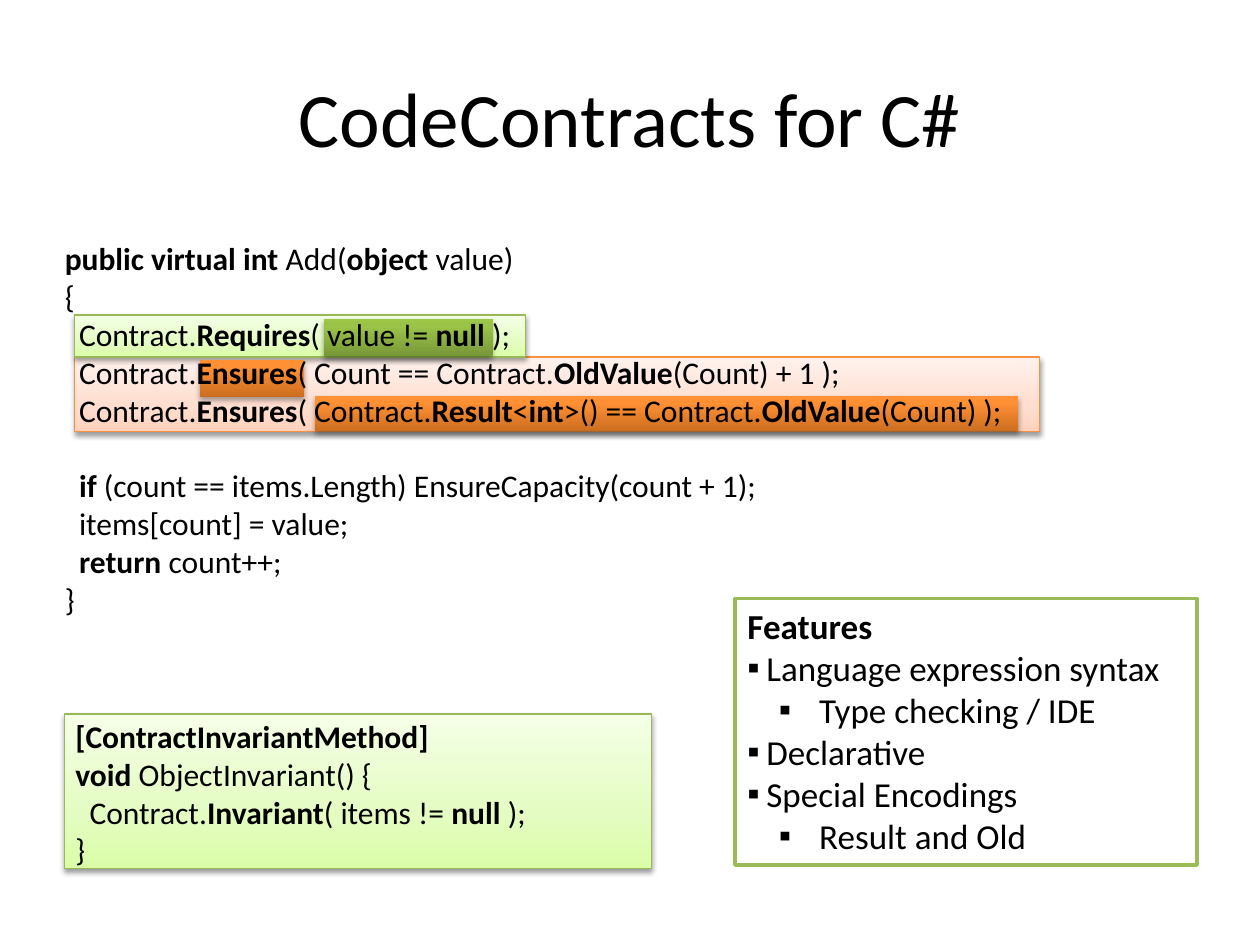
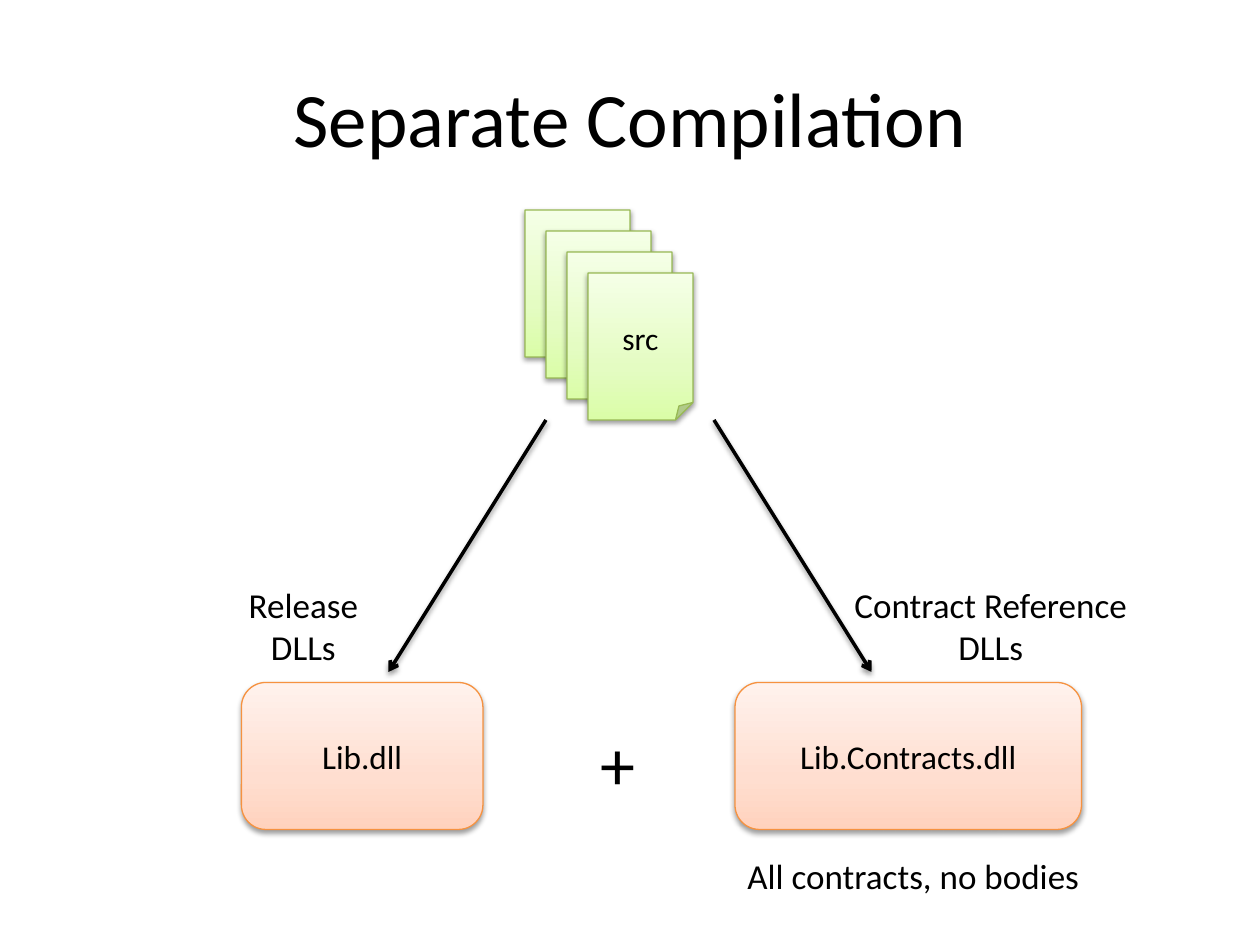
from lxml import etree
from pptx import Presentation
from pptx.dml.color import RGBColor
from pptx.enum.shapes import MSO_CONNECTOR, MSO_SHAPE
from pptx.enum.text import MSO_ANCHOR, PP_ALIGN
from pptx.oxml import parse_xml
from pptx.oxml.ns import nsdecls, qn
from pptx.util import Inches, Pt

RECTANGLE, ROUNDED = MSO_SHAPE.RECTANGLE, MSO_SHAPE.ROUNDED_RECTANGLE
SHEET = MSO_SHAPE.FOLDED_CORNER
STRAIGHT = MSO_CONNECTOR.STRAIGHT
LEFT, CENTER = PP_ALIGN.LEFT, PP_ALIGN.CENTER
TOP, MIDDLE = MSO_ANCHOR.TOP, MSO_ANCHOR.MIDDLE

# Shared look
FONT = "Calibri"
TITLE_ONLY = 5
CELL = 1 / 6  # inches; the slide is 60 columns by 45 rows
COLORS = {"text": "000000", "paper": "FFFFFF", "frame": "9BBB59",
          "green_edge": "98B955", "orange_edge": "F69240"}
SOFT = {"opacity": 38, "distance": 1.6}
STRONG = {"opacity": 35, "distance": 1.8}
STYLES = {
    "green": {"stops": {0: "DAFDA7", 35: "E4FCC2", 100: "F5FFE7"},
              "edge": "green_edge", "shadow": SOFT},
    "orange": {"stops": {0: "FFD2BD", 35: "FFDED0", 100: "FFF2ED"},
               "edge": "orange_edge", "shadow": SOFT},
    "dark_green": {"stops": {0: "779737", 80: "9BC348", 100: "9DC746"},
                   "edge": None, "shadow": STRONG},
    "dark_orange": {"stops": {0: "CC6E20", 80: "FF9034", 100: "FF9136"},
                    "edge": None, "shadow": STRONG},
}

# Code, with bold between double asterisks
ADD_METHOD = """**public virtual int** Add(**object** value)
{
  Contract.**Requires**( value != **null **);
  Contract.**Ensures**( Count == Contract.**OldValue**(Count) + 1 );
  Contract.**Ensures**( Contract.**Result**<**int**>() == Contract.**OldValue**(Count) );

  **if **(count == items.Length) EnsureCapacity(count + 1);
  items[count] = value;
  **return **count++;
}"""
INVARIANT_METHOD = """**[ContractInvariantMethod]**
**void **ObjectInvariant() {
  Contract.**Invariant**( items != **null **);
}"""
FEATURES = [(1, "Language expression syntax"), (2, "Type checking / IDE"),
            (1, "Declarative"), (1, "Special Encodings"), (2, "Result and Old")]
BULLET_INDENTS = {1: (0.15, -0.15), 2: (0.57, -0.32)}  # text edge, bullet offset


def color(name):
    return RGBColor.from_string(COLORS[name])


def grid(*cells):
    return [Inches(cell * CELL) for cell in cells]


def write(para, text, size=18, align=LEFT):
    """Write text into a paragraph, with line breaks and bold parts."""
    para.alignment = align
    for number, line in enumerate(text.split("\n")):
        if number:
            para.add_line_break()
        for part, words in enumerate(line.split("**")):
            if words:
                span = para.add_run()
                span.text = words
                span.font.name, span.font.size = FONT, Pt(size)
                span.font.bold = part % 2 == 1
                span.font.color.rgb = color("text")


def add_shadow(item, opacity, distance):
    effects = parse_xml(
        f'<a:effectLst {nsdecls("a")}><a:outerShdw blurRad="{Pt(3.1)}" '
        f'dist="{Pt(distance)}" dir="5400000" rotWithShape="0"><a:srgbClr '
        f'val="{COLORS["text"]}"><a:alpha val="{opacity * 1000}"/></a:srgbClr>'
        '</a:outerShdw></a:effectLst>')
    item.element.spPr.append(effects)


def add_panel(page, kind, cells, style, text="", size=18):
    """Add a shape with gradient and shadow."""
    look = STYLES[style]
    box = page.shapes.add_shape(kind, *grid(*cells))
    box.fill.gradient()
    box.fill.gradient_angle = 90
    stops = box.element.spPr.find(".//" + qn("a:gsLst"))
    for stop in list(stops):
        stops.remove(stop)
    for position, tint in look["stops"].items():
        stop = etree.SubElement(stops, qn("a:gs"), pos=str(position * 1000))
        etree.SubElement(stop, qn("a:srgbClr"), val=tint)
    if look["edge"]:
        box.line.color.rgb = color(look["edge"])
        box.line.width = Pt(0.75)
    else:
        box.line.fill.background()
    add_shadow(box, **look["shadow"])
    if text:
        box.text_frame.vertical_anchor = MIDDLE
        write(box.text_frame.paragraphs[0], text, size, CENTER)


def add_text(page, cells, text, wrap=False, **formats):
    box = page.shapes.add_textbox(*grid(*cells))
    box.text_frame.word_wrap = wrap
    write(box.text_frame.paragraphs[0], text, **formats)


def add_arrow(page, start, end):
    arrow = page.shapes.add_connector(STRAIGHT, *grid(*start, *end))
    arrow.line.color.rgb = color("text")
    arrow.line.width = Pt(2)
    line = arrow.element.spPr.find(qn("a:ln"))
    etree.SubElement(line, qn("a:tailEnd"), type="arrow")
    add_shadow(arrow, **SOFT)


def add_bullet(para, level):
    edge, offset = BULLET_INDENTS[level]
    properties = para._p.get_or_add_pPr()
    properties.set("marL", str(Inches(edge)))
    properties.set("indent", str(Inches(offset)))
    etree.SubElement(properties, qn("a:buFont"), typeface="Arial")
    etree.SubElement(properties, qn("a:buChar"), char="▪")


def add_features(page, cells):
    """Add the framed list of features."""
    box = page.shapes.add_shape(RECTANGLE, *grid(*cells))
    box.shadow.inherit = False
    box.fill.solid()
    box.fill.fore_color.rgb = color("paper")
    box.line.color.rgb = color("frame")
    box.line.width = Pt(2)
    frame = box.text_frame
    frame.word_wrap = True
    frame.vertical_anchor = TOP
    write(frame.paragraphs[0], "**Features**", size=20)
    for level, text in FEATURES:
        para = frame.add_paragraph()
        add_bullet(para, level)
        write(para, text, size=20)


def add_page(deck, title):
    page = deck.slides.add_slide(deck.slide_layouts[TITLE_ONLY])
    box = page.shapes.title
    box.left, box.top, box.width, box.height = grid(3, 1.8, 54, 7.5)
    box.text_frame.vertical_anchor = MIDDLE
    write(box.text_frame.paragraphs[0], title, size=44, align=CENTER)
    return page


def build_contracts(deck):
    page = add_page(deck, "CodeContracts for C#")
    # Bands and highlights behind the code
    for cells, style in [((3.54, 17, 45.96, 3.54), "orange"),
                         ((3.54, 15, 21.5, 2), "green"),
                         ((3.06, 34, 27.96, 7.38), "green"),
                         ((15, 18.84, 33.5, 1.68), "dark_orange"),
                         ((9.5, 17.16, 5, 1.74), "dark_orange"),
                         ((15.42, 15.18, 8.04, 1.8), "dark_green")]:
        add_panel(page, RECTANGLE, cells, style)
    add_text(page, (2.5, 11.1, 57.5, 18.8), ADD_METHOD, wrap=True)
    add_text(page, (3, 33.85, 30.5, 7.85), INVARIANT_METHOD, wrap=True)
    add_features(page, (35, 28.5, 22, 12.7))


def build_compilation(deck):
    page = add_page(deck, "Separate Compilation")
    # Stack of source files
    for step in range(4):
        add_panel(page, SHEET, (25 + step, 10 + step, 5, 7), "green", "src")
    # Two outputs
    add_arrow(page, (26, 20), (18.5, 32))
    add_arrow(page, (34, 20), (41.5, 32))
    add_panel(page, ROUNDED, (11.5, 32.5, 11.5, 7), "orange", "Lib.dll", 19)
    add_panel(page, ROUNDED, (35, 32.5, 16.5, 7), "orange", "Lib.Contracts.dll", 19)
    # Labels
    add_text(page, (28, 34, 2.9, 4.6), "+", size=40)
    add_text(page, (11.2, 27.5, 6.5, 4.6), "Release\nDLLs", size=20, align=CENTER)
    add_text(page, (40, 27.5, 14.35, 4.6), "Contract Reference\nDLLs",
             size=20, align=CENTER)
    add_text(page, (35, 40.4, 17.15, 2.6), "All contracts, no bodies", size=20)


def main():
    deck = Presentation()
    deck.slide_width, deck.slide_height = grid(60, 45)
    build_contracts(deck)
    build_compilation(deck)
    deck.save("out.pptx")


if __name__ == "__main__":
    main()
